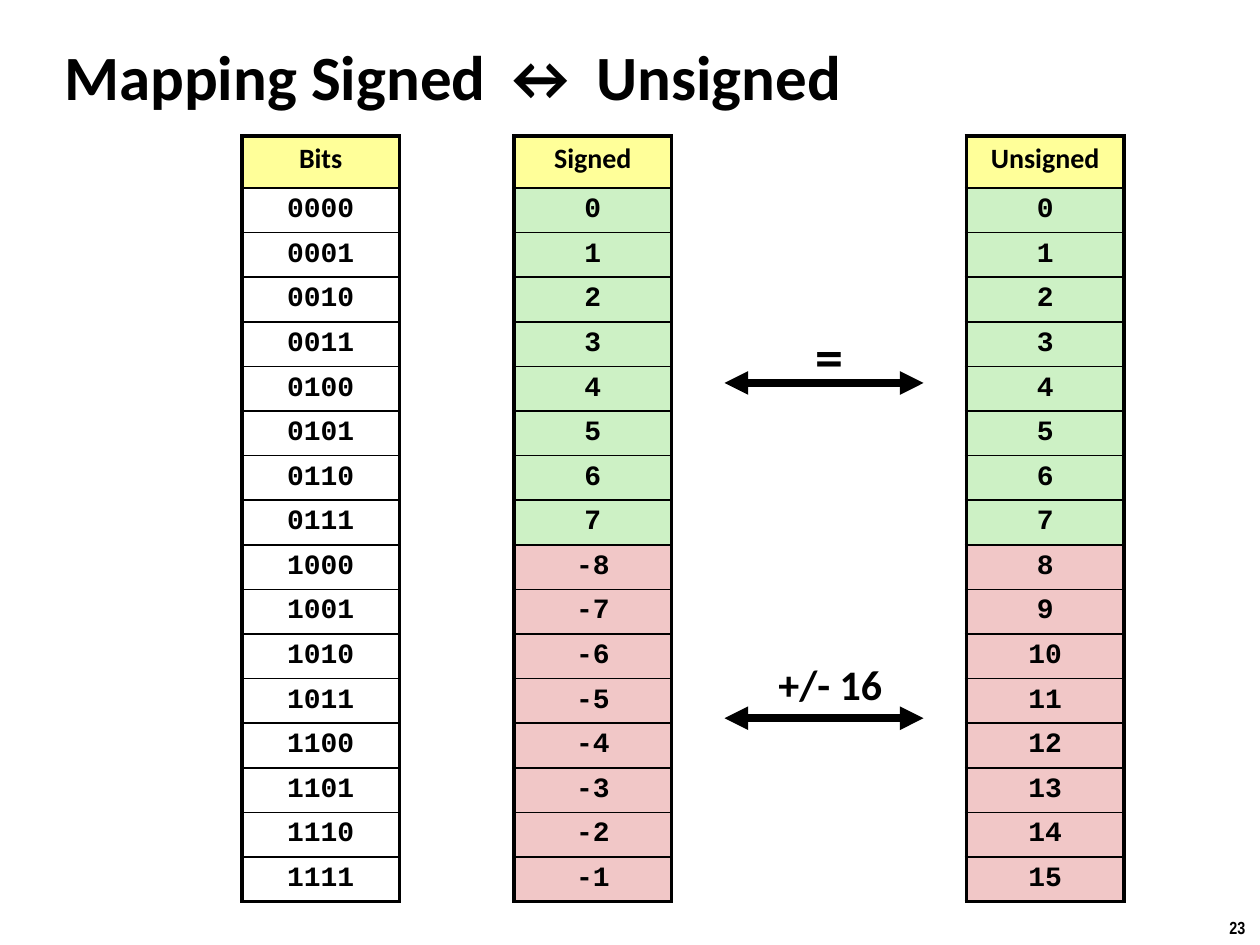
from dataclasses import dataclass
from typing import NamedTuple

from lxml.etree import SubElement
from pptx import Presentation
from pptx.dml.color import RGBColor as RGB
from pptx.enum.shapes import MSO_CONNECTOR as Link
from pptx.enum.text import MSO_ANCHOR as Anchor, MSO_AUTO_SIZE as Fit, PP_ALIGN as Align
from pptx.oxml import parse_xml
from pptx.oxml.ns import nsdecls, qn
from pptx.util import Inches, Pt


@dataclass(frozen=True)
class Theme:
    ink: str = "000000"
    head: str = "FFFF99"
    same: str = "CDF1C5"
    shift: str = "F1C7C7"
    sans: str = "Calibri"
    mono: str = "Courier New"
    slim: str = "Arial Narrow"
    title: int = 36
    equal: int = 32
    note: int = 24
    cell: int = 16
    page: int = 10
    thick: float = 2.25
    thin: float = 1
    arrow: float = 4.5


class Box(NamedTuple):
    """Left, top, width and height as percent of the slide."""
    x: float
    y: float
    w: float
    h: float


class Label(NamedTuple):
    text: str
    box: Box
    size: int
    font: str
    pad: tuple[float, float] = (0.1, 0.05)
    grow: bool = True
    align: Align = Align.LEFT
    anchor: Anchor = Anchor.TOP


class Column(NamedTuple):
    name: str
    x: float
    vals: list[str]
    fills: tuple[str | None, str | None]


T = Theme()
WIDE, HIGH = Inches(10), Inches(7.5)
BITS = 4
COUNT = 2 ** BITS
HALF = COUNT // 2
TOP, COL, HEAD, BODY = 14.4, 12.5, 5.5, 75.57
LEFT, RIGHT = 57.5, 73.3
LINES = (40.53, 76)
HUES = (T.same, T.shift)

COLUMNS = [
    Column("Signed", 40.8, [str(n if n < HALF else n - COUNT) for n in range(COUNT)], HUES),
    Column("Unsigned", 76.7, [str(n) for n in range(COUNT)], HUES),
    Column("Bits", 19.2, [f"{n:0{BITS}b}" for n in range(COUNT)], (None, None)),
]
LABELS = [
    Label("23", Box(96.6, 96.4, 3.4, 3.6), T.page, T.slim),
    Label("Mapping Signed ↔ Unsigned", Box(4.4, 3.6, 74.6, 8.13), T.title, T.sans, (0.07, 0.03)),
    Label("=", Box(64.2, 33.33, 3.2, 8.53), T.equal, T.sans, (0.05, 0.05), align=Align.CENTER),
    Label("+/- 16", Box(60.8, 68.93, 5.7, 6.8), T.note, T.sans, grow=False, anchor=Anchor.MIDDLE),
]


def px(share: float) -> int:
    return round(WIDE * share / 100)


def py(share: float) -> int:
    return round(HIGH * share / 100)


def add_run(para, text: str, size: int, font: str) -> None:
    run = para.add_run()
    run.text = text
    run.font.size, run.font.name, run.font.bold = Pt(size), font, True
    run.font.color.rgb = RGB.from_string(T.ink)


def add_label(slide, item: Label) -> None:
    b = item.box
    frame = slide.shapes.add_textbox(px(b.x), py(b.y), px(b.w), py(b.h)).text_frame
    frame.word_wrap = False
    frame.auto_size = Fit.SHAPE_TO_FIT_TEXT if item.grow else Fit.NONE
    frame.vertical_anchor = item.anchor
    frame.margin_left = frame.margin_right = Inches(item.pad[0])
    frame.margin_top = frame.margin_bottom = Inches(item.pad[1])
    para = frame.paragraphs[0]
    para.alignment = item.align
    add_run(para, item.text, item.size, item.font)


def set_edges(cell, top: float, low: float) -> None:
    """Draw thick sides and the given top and bottom borders."""
    props = cell._tc.get_or_add_tcPr()
    for i, (side, width) in enumerate(zip("LRTB", (T.thick, T.thick, top, low))):
        props.insert(i, parse_xml(
            f'<a:ln{side} {nsdecls("a")} w="{Pt(width)}"><a:solidFill>'
            f'<a:srgbClr val="{T.ink}"/></a:solidFill></a:ln{side}>'))


def fill_cell(cell, text: str, font: str, hue: str | None) -> None:
    cell.margin_left = cell.margin_right = Inches(0.05)
    cell.margin_top = cell.margin_bottom = Inches(0.05)
    if hue:
        cell.fill.solid()
        cell.fill.fore_color.rgb = RGB.from_string(hue)
    else:
        cell.fill.background()
    para = cell.text_frame.paragraphs[0]
    para.alignment = Align.CENTER
    para.line_spacing = 0.95
    gap = SubElement(para._p.get_or_add_pPr(), qn("a:spcBef"))
    SubElement(gap, qn("a:spcPct")).set("val", "50000")
    add_run(para, text, T.cell, font)


def add_column(slide, col: Column) -> None:
    table = slide.shapes.add_table(
        COUNT + 1, 1, px(col.x), py(TOP), px(COL), py(HEAD + BODY)).table
    table.first_row = table.horz_banding = False
    for i, text in enumerate([col.name, *col.vals]):
        table.rows[i].height = py(BODY / COUNT if i else HEAD)
        cell = table.cell(i, 0)
        hue = col.fills[i > HALF] if i else T.head
        fill_cell(cell, text, T.mono if i else T.sans, hue)
        set_edges(cell, T.thin if i else T.thick, T.thick if i == COUNT else T.thin)


def add_arrow(slide, y: float) -> None:
    line = slide.shapes.add_connector(Link.STRAIGHT, px(RIGHT), py(y), px(LEFT), py(y))
    line.line.color.rgb = RGB.from_string(T.ink)
    line.line.width = Pt(T.arrow)
    for end in ("headEnd", "tailEnd"):
        SubElement(line.line._get_or_add_ln(), qn(f"a:{end}")).set("type", "triangle")
    SubElement(line._element.spPr, qn("a:effectLst"))


def main() -> None:
    deck = Presentation()
    deck.slide_width, deck.slide_height = WIDE, HIGH
    slide = deck.slides.add_slide(deck.slide_layouts[6])
    for col in COLUMNS:
        add_column(slide, col)
    for y in LINES:
        add_arrow(slide, y)
    for item in LABELS:
        add_label(slide, item)
    deck.save("out.pptx")


if __name__ == "__main__":
    main()
